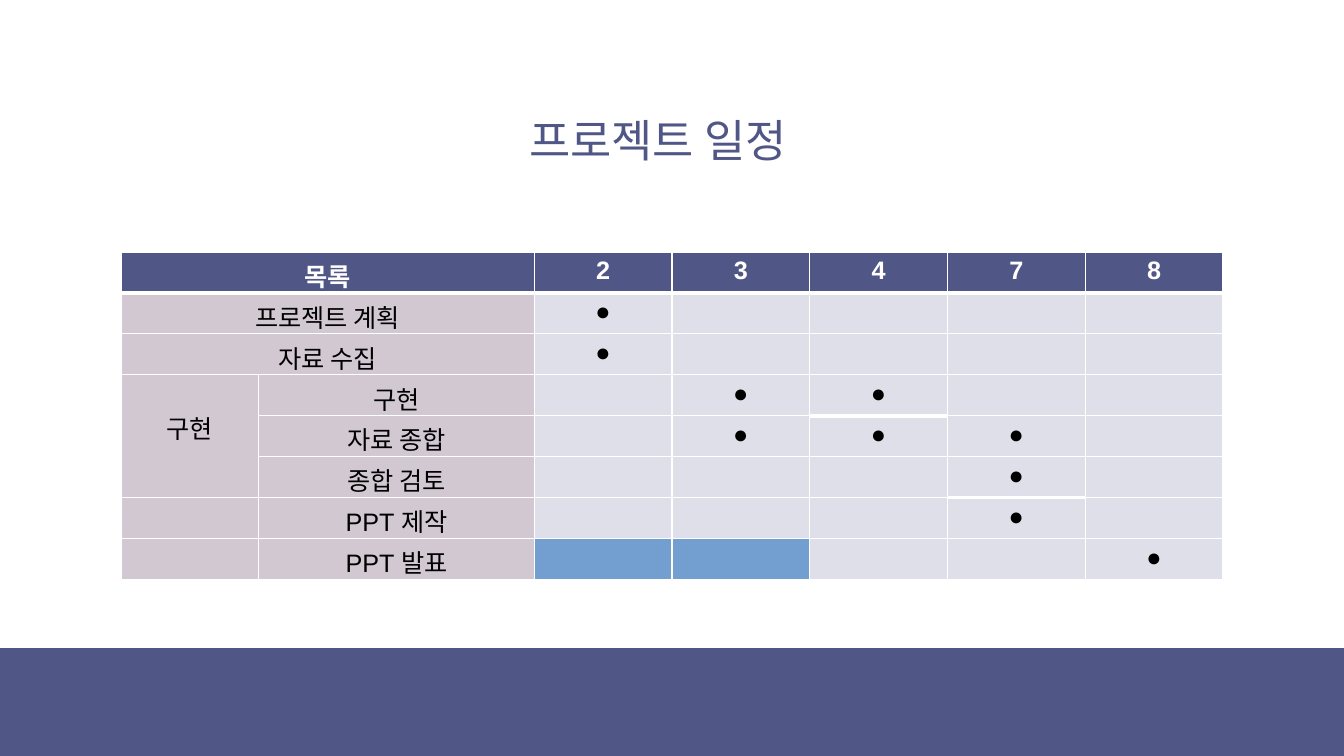
from dataclasses import dataclass

from lxml.etree import SubElement
from pptx import Presentation
from pptx.dml.color import RGBColor
from pptx.enum.shapes import MSO_SHAPE as Shape
from pptx.enum.text import MSO_AUTO_SIZE as AutoSize, PP_ALIGN as Align
from pptx.oxml.ns import qn
from pptx.util import Inches, Pt

TITLE = "프로젝트 일정"
LIST_HEADING = "목록"
MONTHS = [2, 3, 4, 7, 8]
GROUP = "구현"
GROUP_ROWS = (3, 5)
# Task, months in which it runs, whether its name spans the group column
TASKS = [
    ("프로젝트 계획", [2], True),
    ("자료 수집", [2], True),
    ("구현", [3, 4], False),
    ("자료 종합", [3, 4, 7], False),
    ("종합 검토", [7], False),
    ("PPT 제작", [7], False),
    ("PPT 발표", [8], False),
]
MARK = "●"
HIGHLIGHT = (7, 3)
LABEL_COLUMNS = 3
COLUMNS = LABEL_COLUMNS + len(MONTHS)
ROWS = 1 + len(TASKS)
# Cells with a thick rule below them
THICK_BELOW = {(0, column) for column in range(COLUMNS)} | {(3, 5), (5, 6)}


@dataclass(frozen=True)
class Theme:
    font: str = "Arial"
    navy: str = "505786"
    label: str = "D2C8D2"
    month: str = "DEDFE8"
    highlight: str = "729FCF"
    white: str = "FFFFFF"
    black: str = "000000"
    title_size: int = 32
    table_size: int = 18
    thin: int = 1
    thick: int = 3


THEME = Theme()


def write_text(frame, text, size=THEME.table_size, color=THEME.black,
               bold=False, align=Align.CENTER):
    paragraph = frame.paragraphs[0]
    paragraph.alignment = align
    run = paragraph.add_run()
    run.text = text
    run.font.name = THEME.font
    run.font.size = Pt(size)
    run.font.bold = bold
    run.font.color.rgb = RGBColor.from_string(color)


def set_borders(cell, top, bottom):
    """Draw white borders; must run before the cell is filled."""
    properties = cell._tc.get_or_add_tcPr()
    widths = {"L": THEME.thin, "R": THEME.thin, "T": top, "B": bottom}
    for side, width in widths.items():
        line = SubElement(properties, qn(f"a:ln{side}"), w=str(Pt(width)))
        fill = SubElement(line, qn("a:solidFill"))
        SubElement(fill, qn("a:srgbClr"), val=THEME.white)


def cell_color(row, column):
    if row == 0:
        return THEME.navy
    if (row, column) == HIGHLIGHT:
        return THEME.highlight
    return THEME.label if column < LABEL_COLUMNS else THEME.month


def rule_width(row, column):
    return THEME.thick if (row, column) in THICK_BELOW else THEME.thin


def add_title(slide):
    title = slide.shapes.add_textbox(Inches(5.15), Inches(1.07), Inches(4), Inches(0.64))
    title.text_frame.word_wrap = True
    title.text_frame.auto_size = AutoSize.SHAPE_TO_FIT_TEXT
    write_text(title.text_frame, TITLE, size=THEME.title_size,
               color=THEME.navy, align=Align.LEFT)


def add_footer_band(slide):
    band = slide.shapes.add_shape(Shape.RECTANGLE, 0, Inches(6.43), Inches(13.33), Inches(1.07))
    band.shadow.inherit = False
    band.fill.solid()
    band.fill.fore_color.rgb = RGBColor.from_string(THEME.navy)
    band.line.fill.background()


def add_schedule(slide):
    schedule = slide.shapes.add_table(
        ROWS, COLUMNS, Inches(1.2), Inches(2.5), Inches(10.93), Inches(3.25)).table
    schedule.first_row = False
    schedule.horz_banding = False
    for table_row in schedule.rows:
        table_row.height = Inches(0.406)

    for row in range(ROWS):
        for column in range(COLUMNS):
            cell = schedule.cell(row, column)
            set_borders(cell, rule_width(row - 1, column), rule_width(row, column))
            cell.fill.solid()
            cell.fill.fore_color.rgb = RGBColor.from_string(cell_color(row, column))

    def add_label(row, first, text, last_row=None, **style):
        label = schedule.cell(row, first)
        last = LABEL_COLUMNS - 1 if last_row is None else first
        label.merge(schedule.cell(last_row or row, last))
        write_text(label.text_frame, text, **style)
        return label

    heading = {"color": THEME.white, "bold": True}
    add_label(0, 0, LIST_HEADING, **heading)
    for column, month in enumerate(MONTHS, LABEL_COLUMNS):
        write_text(schedule.cell(0, column).text_frame, str(month), **heading)

    group = add_label(GROUP_ROWS[0], 0, GROUP, last_row=GROUP_ROWS[1])
    group.margin_top = Inches(0.34)
    for row, (task, active_months, full_width) in enumerate(TASKS, 1):
        add_label(row, 0 if full_width else 1, task)
        for month in active_months:
            column = LABEL_COLUMNS + MONTHS.index(month)
            write_text(schedule.cell(row, column).text_frame, MARK)


def main():
    deck = Presentation()
    deck.slide_width, deck.slide_height = Inches(13.33), Inches(7.5)
    slide = deck.slides.add_slide(deck.slide_layouts[6])
    add_title(slide)
    add_footer_band(slide)
    add_schedule(slide)
    deck.save("out.pptx")


if __name__ == "__main__":
    main()
